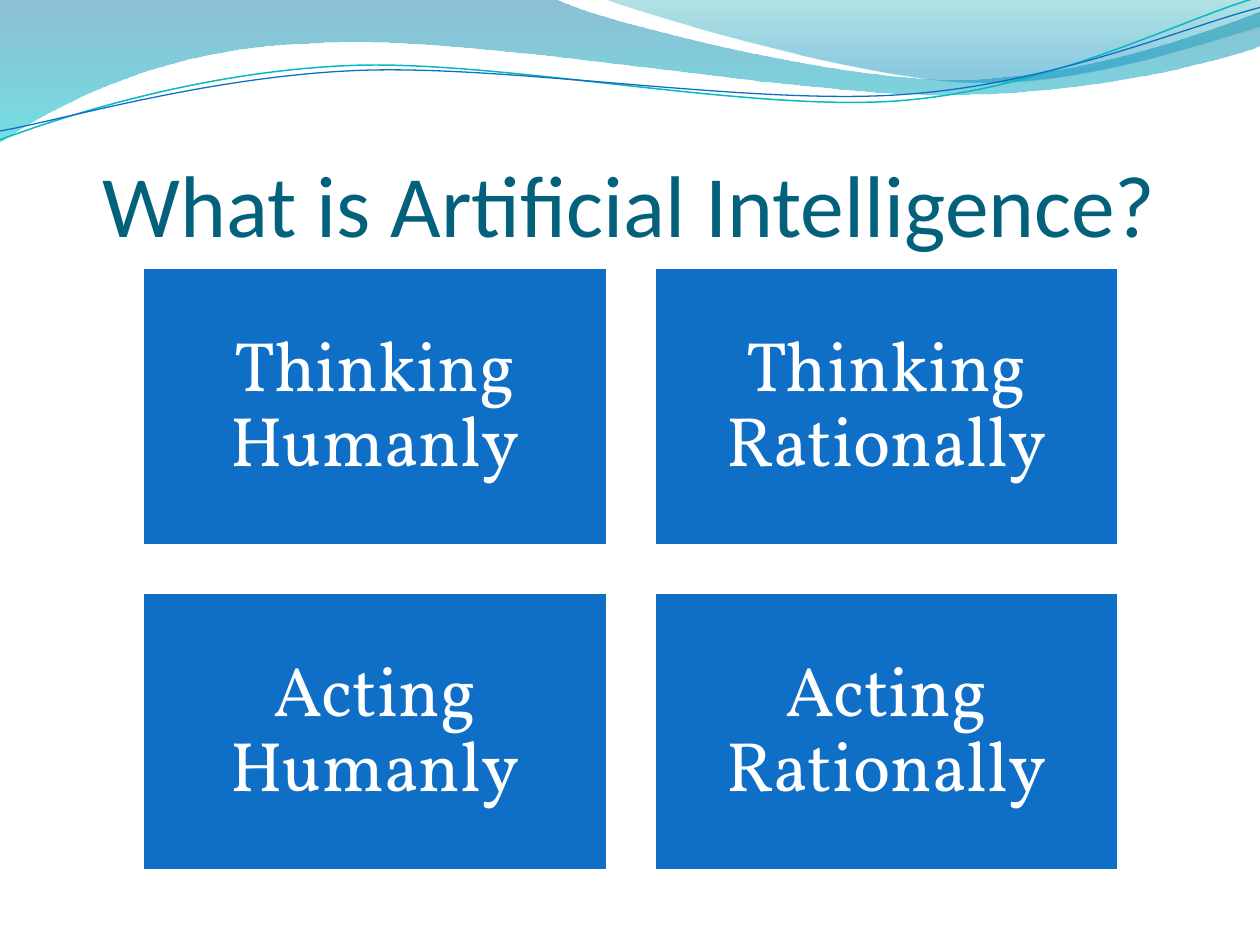
from dataclasses import dataclass
from itertools import product
from math import cos, radians, sin

from lxml.etree import Element, SubElement
from pptx import Presentation
from pptx.dml.color import RGBColor
from pptx.enum.shapes import MSO_SHAPE
from pptx.enum.text import MSO_ANCHOR, PP_ALIGN
from pptx.oxml.ns import qn
from pptx.util import Inches, Pt

COLORS = {
    "white": "FFFFFF", "blue": "0F6FC6", "title": "04617B", "teal": "0AB8BF",
    "deep": "0074A1", "aqua": "00C6CF", "green": "00A1A9", "sky": "008BBF",
}


@dataclass
class Stop:
    """A gradient stop: position from 0 to 1 and opacity in percent."""
    position: float
    color: str
    opacity: int


@dataclass
class Wave:
    """An outline in inches; 2 numbers make a line, 6 a cubic curve."""
    start: tuple
    segments: list
    stops: tuple = ()
    line: str = ""
    weight: float = 0
    center: tuple = (0, 0)
    tilt: float = 0


WAVES = [
    Wave((0, 0), [
        (4.4, -0.01), (4.76, 0.17, 6.64, 0.63, 7.58, 0.63),
        (8.53, 0.63, 9.58, 0.26, 10, 0.09), (10.01, 0.36),
        (9.83, 0.44, 8.7, 0.76, 7.46, 0.75), (6.22, 0.75, 3.82, 0.28, 2.57, 0.34),
        (1.29, 0.36, 0.46, 0.83, -0.01, 1.13), (0, 0),
    ], stops=(Stop(0, "deep", 45), Stop(1, "aqua", 55))),
    Wave((4.79, -0.01), [
        (5.09, 0.11, 6.82, 0.62, 7.69, 0.65),
        (8.56, 0.69, 9.61, 0.32, 10, 0.21), (10, 0), (4.79, -0.01),
    ], stops=(Stop(0, "green", 30), Stop(0.8, "sky", 45))),
    Wave((0, 1.11), [
        (0.48, 0.93, 1.58, 0.57, 2.77, 0.52), (3.95, 0.47, 5.93, 0.89, 7.13, 0.8),
        (8.33, 0.71, 9.38, 0.15, 9.98, -0.02),
    ], line="teal", weight=0.85, center=(4.99, 0.57), tilt=-2.7),
    Wave((0, 1.04), [
        (0.47, 0.96, 1.64, 0.61, 2.83, 0.56), (4.03, 0.51, 5.97, 0.84, 7.17, 0.75),
        (8.36, 0.67, 9.41, 0.21, 10, 0.06),
    ], line="blue", weight=0.75, center=(5, 0.59), tilt=-2.7),
]
CARDS = ["Thinking Humanly", "Thinking Rationally", "Acting Humanly", "Acting Rationally"]
CARD_LEFT, CARD_TOP = 1.13, 2.12
CARD_WIDTH, CARD_HEIGHT, CARD_GAP = 3.69, 2.21, 0.37


def rgb(name: str) -> RGBColor:
    """Look up a colour by name."""
    return RGBColor.from_string(COLORS[name])


def level(wave: Wave, x: float, y: float) -> tuple:
    """Place a point as it lies before the wave is tilted."""
    angle = radians(-wave.tilt)
    dx, dy = x - wave.center[0], y - wave.center[1]
    return (Inches(wave.center[0] + dx * cos(angle) - dy * sin(angle)),
            Inches(wave.center[1] + dx * sin(angle) + dy * cos(angle)))


def bend(shape, segments: list) -> None:
    """Join the lines of each curved segment into one cubic curve."""
    lines = list(shape.element.iter(qn("a:lnTo")))
    for segment in segments:
        count = len(segment) // 2
        group, lines = lines[:count], lines[count:]
        if count == 3:
            curve = Element(qn("a:cubicBezTo"))
            group[0].addprevious(curve)
            for line in group:
                curve.append(line[0])
                line.getparent().remove(line)


def draw_wave(page, wave: Wave) -> None:
    """Draw a band with a gradient or an open curved line."""
    points = [level(wave, *segment[i:i + 2])
              for segment in wave.segments for i in range(0, len(segment), 2)]
    builder = page.shapes.build_freeform(*level(wave, *wave.start))
    builder.add_line_segments(points, close=bool(wave.stops))
    shape = builder.convert_to_shape()
    bend(shape, wave.segments)
    shape.rotation = wave.tilt
    shape.shadow.inherit = False
    if not wave.stops:
        shape.fill.background()
        shape.line.color.rgb = rgb(wave.line)
        shape.line.width = Pt(wave.weight)
        return
    shape.line.fill.background()
    shape.fill.gradient()
    shape.fill.gradient_angle = 270
    for target, stop in zip(shape.fill.gradient_stops, wave.stops):
        target.position = stop.position
        target.color.rgb = rgb(stop.color)
    for color, stop in zip(shape.element.iter(qn("a:srgbClr")), wave.stops):
        SubElement(color, qn("a:alpha"), val=str(stop.opacity * 1000))


def write(shape, text: str, font: str, size: int, color: str, anchor, insets: tuple):
    """Put one centred paragraph in a shape and return the paragraph."""
    frame = shape.text_frame
    frame.word_wrap = True
    frame.vertical_anchor = anchor
    (frame.margin_left, frame.margin_top,
     frame.margin_right, frame.margin_bottom) = map(Inches, insets)
    para = frame.paragraphs[0]
    para.text = text
    para.alignment = PP_ALIGN.CENTER
    para.font.name = font
    para.font.size = Pt(size)
    para.font.color.rgb = rgb(color)
    return para


def draw_card(page, text: str, row: int, column: int) -> None:
    """Draw one labelled card of the two by two grid."""
    card = page.shapes.add_shape(
        MSO_SHAPE.RECTANGLE,
        Inches(CARD_LEFT + column * (CARD_WIDTH + CARD_GAP)),
        Inches(CARD_TOP + row * (CARD_HEIGHT + CARD_GAP)),
        Inches(CARD_WIDTH), Inches(CARD_HEIGHT))
    card.shadow.inherit = False
    card.fill.solid()
    card.fill.fore_color.rgb = rgb("blue")
    card.line.color.rgb = rgb("white")
    card.line.width = Pt(2)
    para = write(card, text, "Vollkorn", 40, "white", MSO_ANCHOR.MIDDLE, (0.17,) * 4)
    para.line_spacing = 0.9


def main() -> None:
    """Build and save the deck."""
    deck = Presentation()
    deck.slide_width, deck.slide_height = Inches(10), Inches(7.5)
    page = deck.slides.add_slide(deck.slide_layouts[6])
    for wave in WAVES:
        draw_wave(page, wave)
    title = page.shapes.add_textbox(Inches(0.5), Inches(0.77), Inches(9), Inches(1.25))
    write(title, "What is Artificial Intelligence?", "Calibri", 50, "title",
          MSO_ANCHOR.BOTTOM, (0, 0.05, 0, 0))
    for text, (row, column) in zip(CARDS, product(range(2), repeat=2)):
        draw_card(page, text, row, column)
    deck.save("out.pptx")


main()
